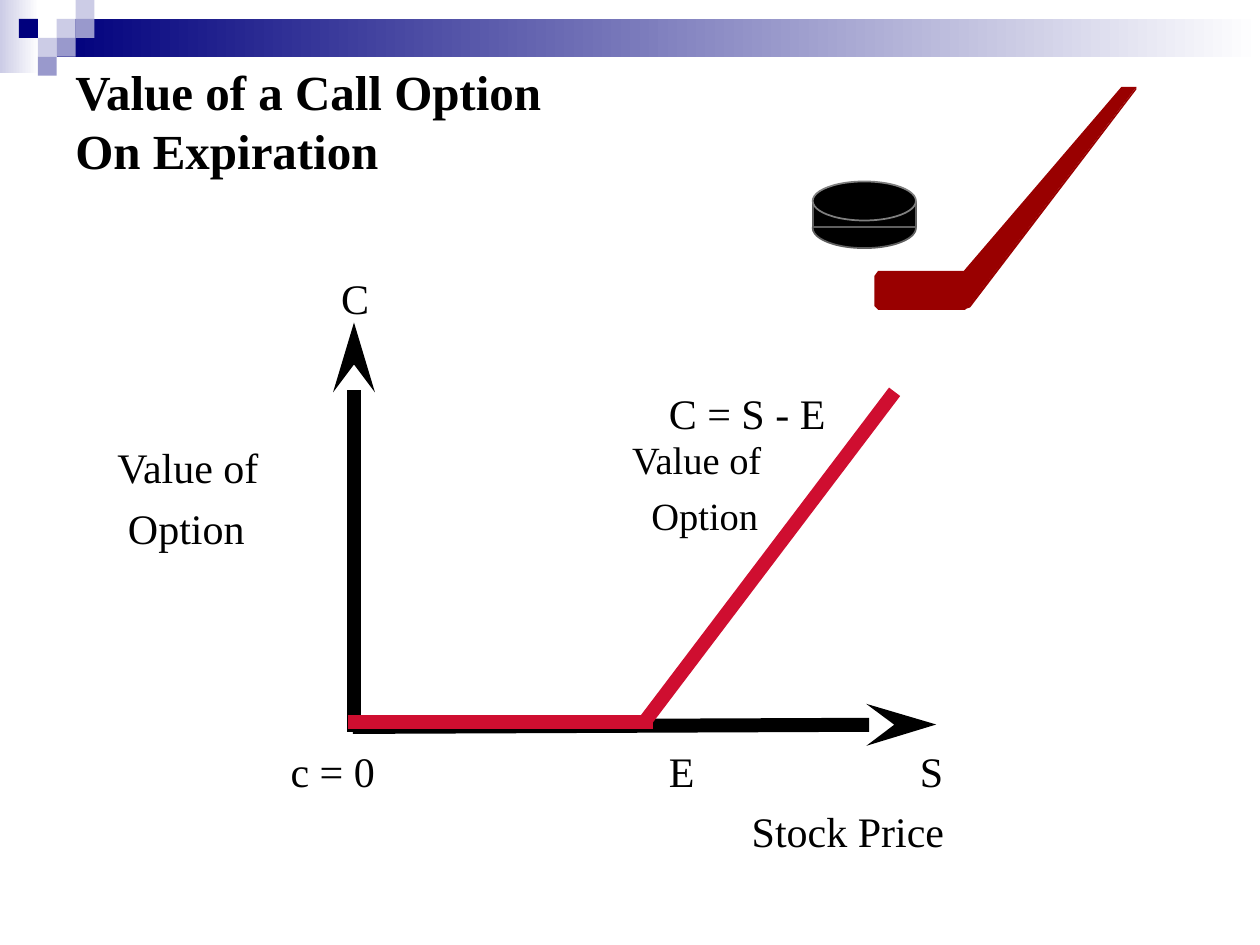
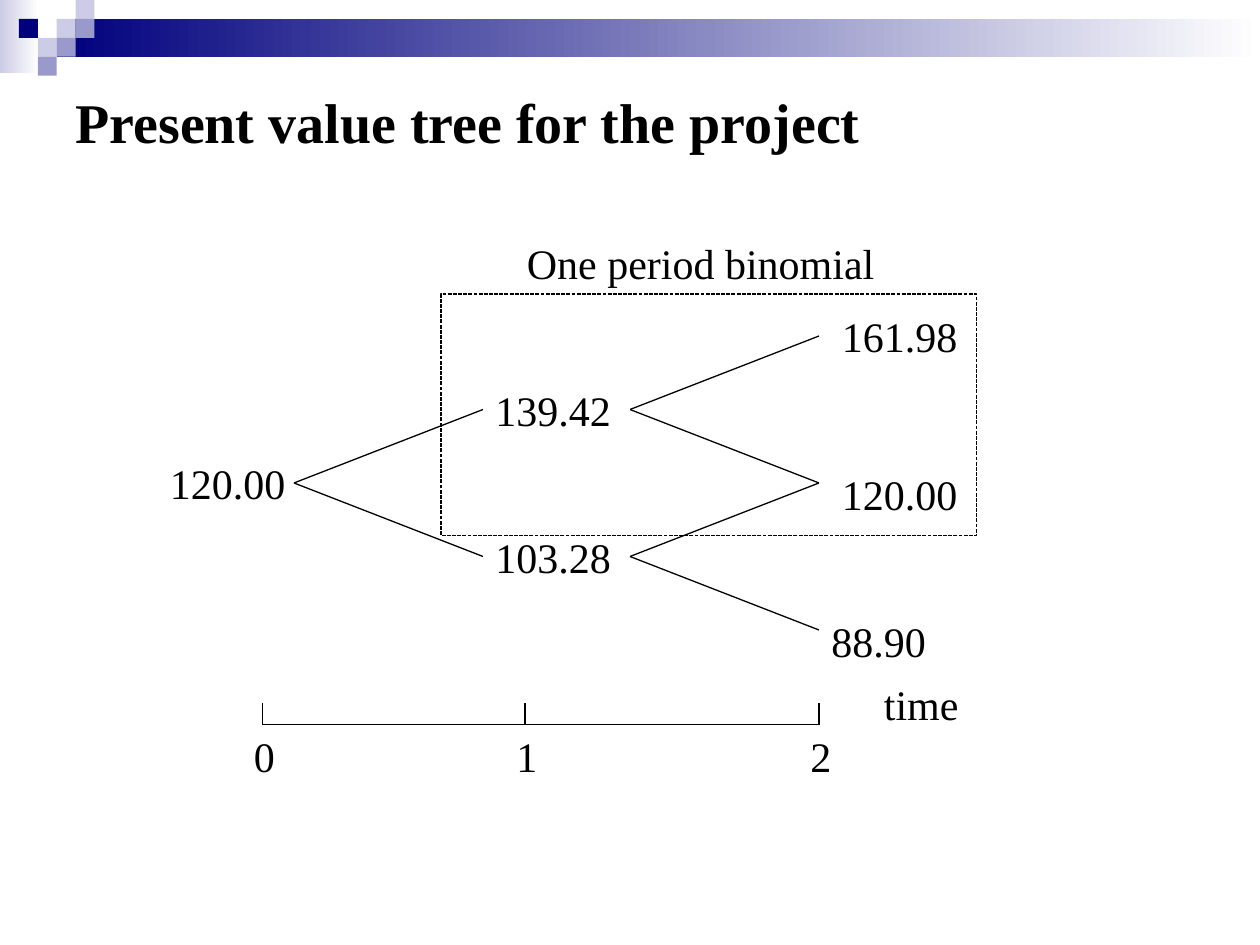
from lxml import etree
from pptx import Presentation
from pptx.dml.color import RGBColor
from pptx.enum.dml import MSO_LINE
from pptx.enum.shapes import MSO_CONNECTOR, MSO_SHAPE
from pptx.enum.text import MSO_ANCHOR
from pptx.oxml.ns import qn
from pptx.util import Pt

STRAIGHT = MSO_CONNECTOR.STRAIGHT
RECTANGLE, OVAL = MSO_SHAPE.RECTANGLE, MSO_SHAPE.OVAL
TOP, MIDDLE = MSO_ANCHOR.TOP, MSO_ANCHOR.MIDDLE
SHORT_DASH = MSO_LINE.SQUARE_DOT

FONT = "Times New Roman"
BLACK, WHITE = "000000", "FFFFFF"
NAVY, LAVENDER, PALE = "00007D", "9999CC", "CCCCE6"
PAYOFF_RED, STICK_RED = "CF0E30", "990000"

SQUARE = 10.8
BANDS = [
    (0, 0, 22.3, 41.8, PALE, WHITE),
    (32.4, 10.8, 687.6, 21.6, NAVY, WHITE),
]
SQUARES = [
    (3, 1, PALE), (4, 0, PALE), (4, 1, LAVENDER), (2, 2, PALE),
    (1, 1, NAVY), (3, 2, LAVENDER), (2, 3, LAVENDER),
]

PAYOFF_TITLE = ("Value of a Call Option\vOn Expiration", 28)
PAYOFF_LINES = [
    ((201.6, 415.4), (535, 414), BLACK, True),
    ((367.2, 414), (511.2, 223.9), PAYOFF_RED, False),
    ((202.3, 418.3), (202.3, 184.3), BLACK, True),
    ((198.7, 412.6), (373, 412.6), PAYOFF_RED, False),
]
PAYOFF_LABELS = [
    ("C", 187.9, 151.9, 30),
    ("C = S - E", 375.1, 217.8, 108),
    ("c = 0", 159, 422.5, 80),
    ("E", 375.1, 422.5, 36),
    ("S", 518.5, 422.5, 36),
    ("Stock Price", 422.5, 456.8, 150),
]
VALUE_LABELS = [
    (60, 248.6, 24, 6, 6, 1),
    (354.2, 248.4, 22, 11, 8.2, 0.9),
]
STICK_PARTS = [
    [(550.8, 154.8), (640.8, 49.7), (649.4, 49.7), (553, 175.7), (551.5, 177.1),
     (501.8, 177.1), (499.7, 175), (499.7, 157.7), (501.8, 154.8)],
    [(649.4, 49.7), (552.2, 176.4), (554.4, 175.7), (649.4, 51.1)],
]
PUCK_PARTS = [
    (OVAL, 118.8, 23, "5F5F5F"),
    (RECTANGLE, 115.2, 14.4, "5F5F5F"),
    (OVAL, 103.7, 22.3, "7F7F7F"),
]

TREE_TITLE = ("Present value tree for the project", 32)
TREE_LABELS = [
    ("139.42", 276, 216, 90),
    ("88.90", 468, 348, 90),
    ("120.00", 474, 264, 84),
    ("103.28", 276, 300, 90),
    ("161.98", 474, 174, 90),
    ("120.00", 90, 258, 108),
    ("time", 498, 384, 126),
    ("One period binomial", 294, 132, 258),
]
PERIOD_FRAME = (252, 168, 306, 138)
FORKS = [(168, 276), (360, 234), (360, 318)]
FORK_RUN, FORK_RISE = 108, 42
TIME_TICKS = [150, 300, 468]
AXIS_TOP, TICK_HEIGHT = 414, 12
LABEL_HEIGHT = 36


def rgb(value):
    return RGBColor.from_string(value)


def apply(target, formats):
    for name, value in formats.items():
        setattr(target, name, value)


def add_shape(slide, kind, left, top, width, height, fill=None, outline=None, weight=1):
    shape = slide.shapes.add_shape(kind, Pt(left), Pt(top), Pt(width), Pt(height))
    finish_shape(shape, fill, outline, weight)
    return shape


def finish_shape(shape, fill, outline=None, weight=1):
    shape.shadow.inherit = False
    if fill:
        shape.fill.solid()
        shape.fill.fore_color.rgb = rgb(fill)
    else:
        shape.fill.background()
    if outline:
        shape.line.color.rgb = rgb(outline)
        shape.line.width = Pt(weight)
    else:
        shape.line.fill.background()


def add_polygon(slide, points, fill):
    corners = [(Pt(x), Pt(y)) for x, y in points]
    builder = slide.shapes.build_freeform(*corners[0])
    builder.add_line_segments(corners[1:], close=True)
    finish_shape(builder.convert_to_shape(), fill)


def add_line(slide, start, end, color=BLACK, weight=0.75, arrow=False):
    connector = slide.shapes.add_connector(STRAIGHT, *(Pt(value) for value in (*start, *end)))
    connector.line.color.rgb = rgb(color)
    connector.line.width = Pt(weight)
    if arrow:
        etree.SubElement(connector.line._get_or_add_ln(), qn("a:tailEnd"),
                         type="stealth", w="med", len="lg")
    etree.SubElement(connector._element.spPr, qn("a:effectLst"))
    return connector


def add_text(slide, text, left, top, width, height=LABEL_HEIGHT, size=24, bold=False, anchor=TOP):
    box = slide.shapes.add_textbox(Pt(left), Pt(top), Pt(width), Pt(height))
    frame = box.text_frame
    apply(frame, {"word_wrap": True, "vertical_anchor": anchor, "text": text})
    for paragraph in frame.paragraphs:
        apply(paragraph.font, {"name": FONT, "size": Pt(size), "bold": bold})
        paragraph.font.color.rgb = rgb(BLACK)
    return box


def add_value_label(slide, left, top, size, indent, gap, spacing):
    box = add_text(slide, "Value of\nOption", left, top, 120, 68, size)
    first, second = box.text_frame.paragraphs
    for paragraph in (first, second):
        paragraph.line_spacing = spacing
    second.space_before = Pt(gap)
    second._p.get_or_add_pPr().set("marL", str(Pt(indent)))


def add_slide(presentation, title, size):
    slide = presentation.slides.add_slide(presentation.slide_layouts[6])
    for left, top, width, height, *colors in BANDS:
        band = add_shape(slide, RECTANGLE, left, top, width, height)
        band.fill.gradient()
        band.fill.gradient_angle = 0
        for stop, color in zip(band.fill.gradient_stops, colors):
            stop.color.rgb = rgb(color)
    for column, row, color in SQUARES:
        add_shape(slide, RECTANGLE, column * SQUARE, row * SQUARE, SQUARE, SQUARE, color)
    add_text(slide, title, 36, 36, 648, 66, size, True, MIDDLE)
    return slide


def build_payoff_slide(presentation):
    slide = add_slide(presentation, *PAYOFF_TITLE)
    for start, end, color, arrow in PAYOFF_LINES:
        add_line(slide, start, end, color, 8, arrow)
    for points in STICK_PARTS:
        add_polygon(slide, points, STICK_RED)
    for kind, top, height, outline in PUCK_PARTS:
        add_shape(slide, kind, 464.4, top, 59, height, BLACK, outline)
    for label in PAYOFF_LABELS:
        add_text(slide, *label)
    for label in VALUE_LABELS:
        add_value_label(slide, *label)


def build_tree_slide(presentation):
    slide = add_slide(presentation, *TREE_TITLE)
    frame = add_shape(slide, RECTANGLE, *PERIOD_FRAME, outline=BLACK, weight=0.75)
    frame.line.dash_style = SHORT_DASH
    left_middles = {}
    for text, left, top, width in TREE_LABELS:
        box = add_text(slide, text, left, top, width)
        left_middles[left, top + LABEL_HEIGHT / 2] = box
    for x, y in FORKS:
        for rise in (-FORK_RISE, FORK_RISE):
            end = (x + FORK_RUN, y + rise)
            branch = add_line(slide, (x, y), end)
            if end in left_middles:
                branch.end_connect(left_middles[end], 1)
    add_line(slide, (TIME_TICKS[0], AXIS_TOP), (TIME_TICKS[-1], AXIS_TOP))
    for period, x in enumerate(TIME_TICKS):
        add_line(slide, (x, AXIS_TOP - TICK_HEIGHT), (x, AXIS_TOP))
        add_text(slide, str(period), x - 12, AXIS_TOP, 24)


def main():
    presentation = Presentation()
    apply(presentation, {"slide_width": Pt(720), "slide_height": Pt(540)})
    build_payoff_slide(presentation)
    build_tree_slide(presentation)
    presentation.save("out.pptx")


if __name__ == "__main__":
    main()
